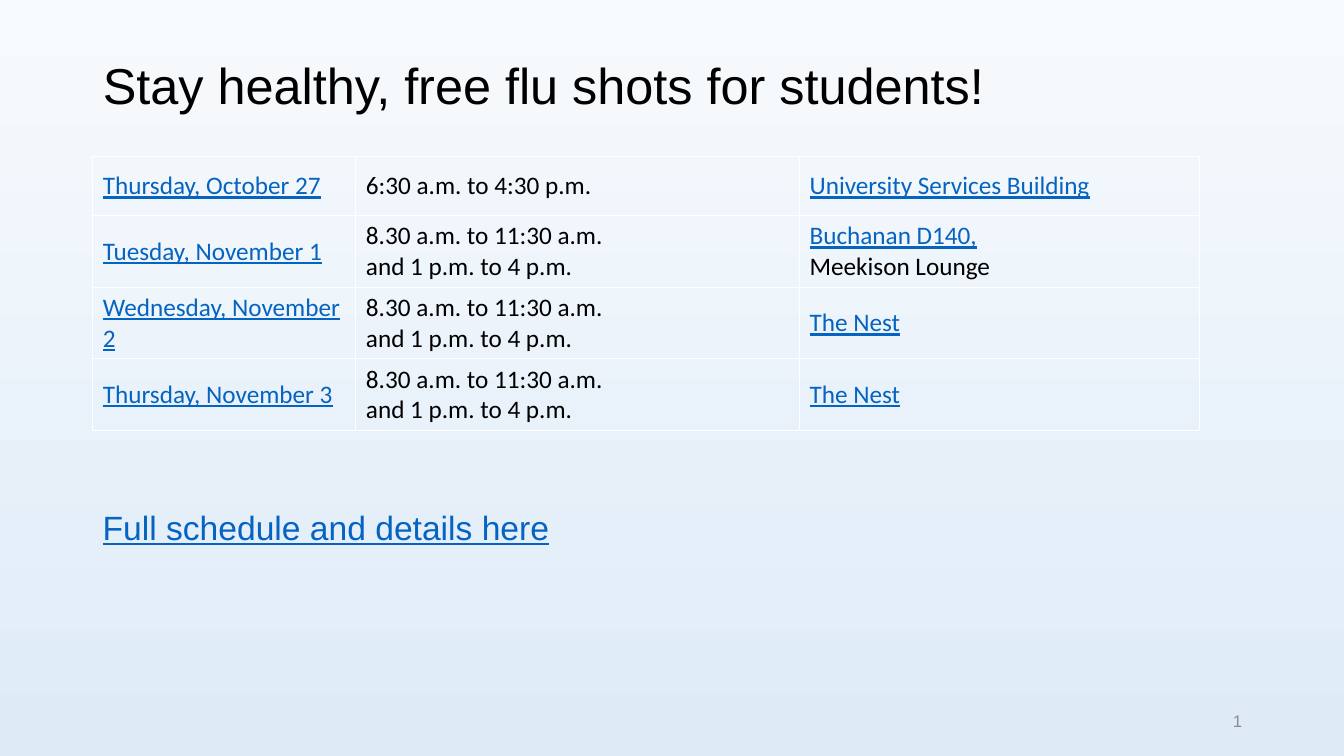
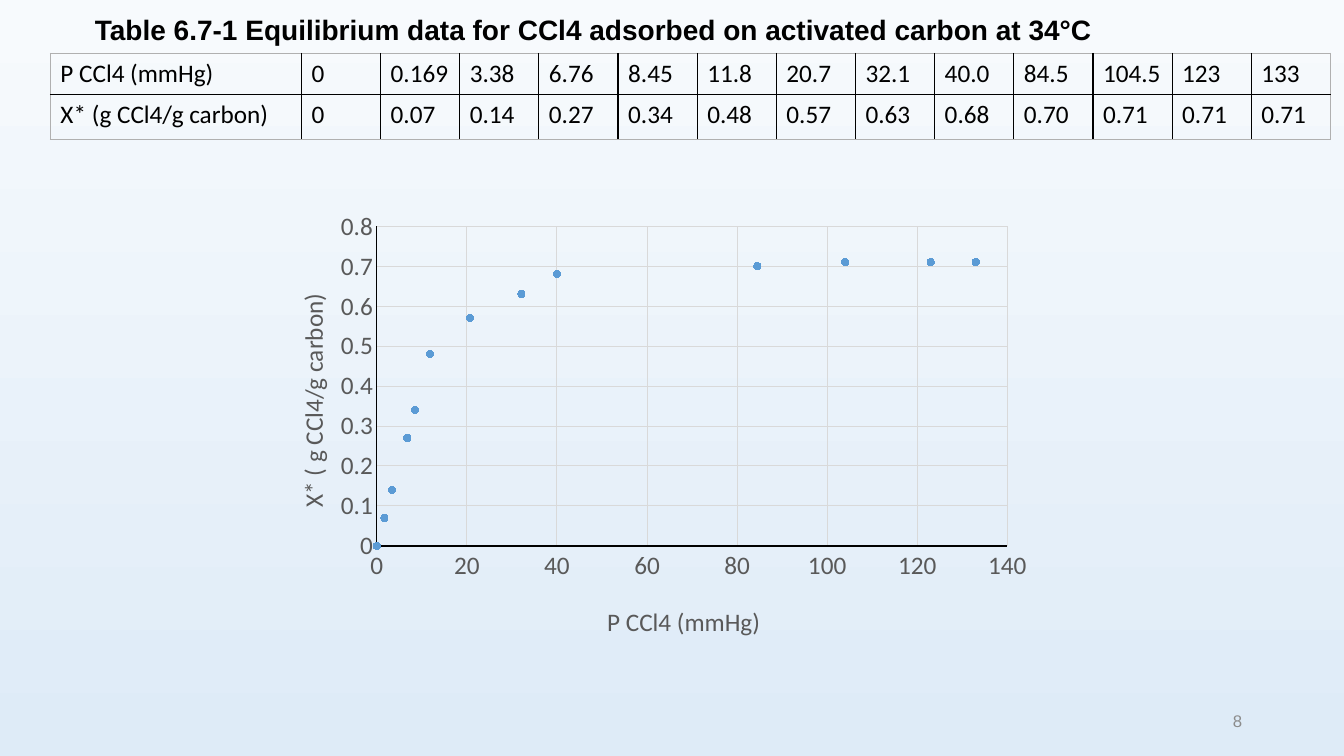
import pptx
import pptx.chart.data
import pptx.dml.color
import pptx.enum.chart
import pptx.enum.dml
import pptx.enum.text
import pptx.oxml
import pptx.oxml.ns
import pptx.util
from lxml import etree

Inches = pptx.util.Inches
Pt = pptx.util.Pt
qn = pptx.oxml.ns.qn

COLORS = {
    "top": "F7FAFD",
    "bottom": "DEEBF7",
    "text": "000000",
    "link": "0563C1",
    "page": "8C8C8C",
    "white": "FFFFFF",
    "frame": "B0B0B0",
    "axis": "595959",
    "grid": "D9D9D9",
    "marker": "5B9BD5",
}


def rgb(name):
    return pptx.dml.color.RGBColor.from_string(COLORS[name])


def set_border(cell, side, color, width):
    properties = cell._tc.get_or_add_tcPr()
    line = etree.SubElement(properties, qn(f"a:{side}"), w=str(Pt(width)))
    fill = etree.SubElement(line, qn("a:solidFill"))
    etree.SubElement(fill, qn("a:srgbClr"), val=COLORS[color])


def place_in_chart(element, index, **fractions):
    for existing in element.findall(qn("c:layout")):
        element.remove(existing)
    layout = etree.Element(qn("c:layout"))
    manual = etree.SubElement(layout, qn("c:manualLayout"))
    if "w" in fractions:
        etree.SubElement(manual, qn("c:layoutTarget"), val="inner")
    for mode in ("xMode", "yMode"):
        etree.SubElement(manual, qn(f"c:{mode}"), val="edge")
    for key, value in fractions.items():
        etree.SubElement(manual, qn(f"c:{key}"), val=str(value))
    element.insert(index, layout)


class Deck:
    heading_font = "Arial"
    data_font = "Calibri"
    data_size = 18

    def __init__(self):
        self.presentation = pptx.Presentation()
        self.presentation.slide_width = Inches(13.33)
        self.presentation.slide_height = Inches(7.5)
        backdrop = self.presentation.slide_master.background.fill
        backdrop.gradient()
        backdrop.gradient_angle = 270
        for stop, color in zip(backdrop.gradient_stops, ("top", "bottom")):
            stop.color.rgb = rgb(color)
        self.slide = None

    def style(self, font, name, size, color, bold=False, underline=False):
        font.name = name
        font.size = Pt(size)
        font.color.rgb = rgb(color)
        font.bold = bold
        font.underline = underline

    def start_slide(self, number):
        layout = self.presentation.slide_layouts[5]
        self.slide = self.presentation.slides.add_slide(layout)
        self.text(number, (9.42, 6.95, 3, 0.4), 12, "page",
                  align=pptx.enum.text.PP_ALIGN.RIGHT)

    def fill_frame(self, frame, text, size, color, align, **emphasis):
        frame.word_wrap = True
        frame.auto_size = pptx.enum.text.MSO_AUTO_SIZE.NONE
        frame.vertical_anchor = pptx.enum.text.MSO_ANCHOR.MIDDLE
        frame.text = text
        paragraph = frame.paragraphs[0]
        paragraph.alignment = align
        for run in paragraph.runs:
            self.style(run.font, self.heading_font, size, color, **emphasis)
        return paragraph

    def title(self, text, box, size, bold=False):
        heading = self.slide.shapes.title
        heading.left, heading.top, heading.width, heading.height = map(Inches, box)
        paragraph = self.fill_frame(heading.text_frame, text, size, "text",
                                    pptx.enum.text.PP_ALIGN.LEFT, bold=bold)
        paragraph.line_spacing = 0.9

    def text(self, text, box, size, color,
             align=pptx.enum.text.PP_ALIGN.LEFT, underline=False):
        frame = self.slide.shapes.add_textbox(*map(Inches, box)).text_frame
        self.fill_frame(frame, text, size, color, align, underline=underline)

    def table(self, rows, corner, widths, heights, inner, outer, anchor,
              link_columns=()):
        size = (sum(widths), sum(heights))
        grid = self.slide.shapes.add_table(
            len(rows), len(widths), *map(Inches, corner + size)).table
        grid.first_row = grid.horz_banding = False
        for column, width in zip(grid.columns, widths):
            column.width = Inches(width)
        for row, height in zip(grid.rows, heights):
            row.height = Inches(height)
        for r, row in enumerate(rows):
            for c, text in enumerate(row):
                cell = grid.cell(r, c)
                cell.vertical_anchor = anchor
                edges = {"lnL": c == 0, "lnR": c == len(widths) - 1,
                         "lnT": r == 0, "lnB": r == len(rows) - 1}
                for side, is_outer in edges.items():
                    set_border(cell, side, *(outer if is_outer else inner))
                cell.fill.background()
                cell.text_frame.text = text
                for position, run in enumerate(cell.text_frame.paragraphs[0].runs):
                    linked = c in link_columns and position == 0
                    self.style(run.font, self.data_font, self.data_size,
                               "link" if linked else "text", underline=linked)

    def axis(self, axis, title, maximum, step, title_place):
        axis.minimum_scale = 0
        axis.maximum_scale = maximum
        axis.major_unit = step
        axis.major_tick_mark = pptx.enum.chart.XL_TICK_MARK.NONE
        axis.minor_tick_mark = pptx.enum.chart.XL_TICK_MARK.NONE
        axis.has_major_gridlines = True
        for line, color in ((axis.format.line, "text"),
                            (axis.major_gridlines.format.line, "grid")):
            line.color.rgb = rgb(color)
            line.width = Pt(0.75)
        axis.tick_labels.number_format = "General"
        axis.tick_labels.number_format_is_linked = False
        self.style(axis.tick_labels.font, self.data_font, self.data_size, "axis")
        frame = axis.axis_title.text_frame
        frame.text = title
        self.style(frame.paragraphs[0].runs[0].font, self.data_font,
                   self.data_size, "axis")
        place_in_chart(axis.axis_title.element, 1, **title_place)

    def scatter(self, points, box, x_title, y_title):
        data = pptx.chart.data.XyChartData()
        isotherm = data.add_series("Series 1")
        for x, y in points:
            isotherm.add_data_point(x, y)
        chart = self.slide.shapes.add_chart(
            pptx.enum.chart.XL_CHART_TYPE.XY_SCATTER,
            *map(Inches, box), data).chart
        chart.has_title = False
        chart.has_legend = False
        self.style(chart.font, self.data_font, self.data_size, "text")
        plot = chart.plots[0]
        plot.vary_by_categories = False
        series = plot.series[0]
        series.smooth = False
        series.format.line.fill.background()
        series.marker.style = pptx.enum.chart.XL_MARKER_STYLE.CIRCLE
        series.marker.size = 5
        series.marker.format.fill.solid()
        series.marker.format.fill.fore_color.rgb = rgb("marker")
        series.marker.format.line.color.rgb = rgb("marker")
        self.axis(chart.category_axis, x_title, 140, 20, {"x": 0.44, "y": 0.88})
        self.axis(chart.value_axis, y_title, 0.8, 0.1, {"x": 0.04, "y": 0.19})
        plot_area = chart.element.find(".//" + qn("c:plotArea"))
        place_in_chart(plot_area, 0, x=0.15, y=0.05, w=0.81, h=0.71)


def flu_shots(deck):
    deck.start_slide("1")
    deck.title("Stay healthy, free flu shots for students!",
               (0.92, 0.4, 11.5, 0.95), 36)
    split_hours = "8.30 a.m. to 11:30 a.m.\vand 1 p.m. to 4 p.m."
    clinics = [
        ("Thursday, October 27", "6:30 a.m. to 4:30 p.m.",
         "University Services Building"),
        ("Tuesday, November 1", split_hours, "Buchanan D140,\vMeekison Lounge"),
        ("Wednesday, November 2", split_hours, "The Nest"),
        ("Thursday, November 3", split_hours, "The Nest"),
    ]
    border = ("white", 0.75)
    deck.table(clinics, (0.92, 1.55), (2.61, 4.4, 3.97), (0.59,) + (0.71,) * 3,
               border, border, pptx.enum.text.MSO_ANCHOR.MIDDLE,
               link_columns=(0, 2))
    deck.text("Full schedule and details here", (0.92, 4.98, 11.5, 0.5),
              24, "link", underline=True)


def adsorption(deck):
    deck.start_slide("8")
    deck.title("Table 6.7-1 Equilibrium data for CCl4 adsorbed on activated "
               "carbon at 34°C", (0.84, 0.09, 10.17, 0.44), 20, bold=True)
    pressures = ("0", "0.169", "3.38", "6.76", "8.45", "11.8", "20.7", "32.1",
                 "40.0", "84.5", "104.5", "123", "133")
    loadings = ("0", "0.07", "0.14", "0.27", "0.34", "0.48", "0.57", "0.63",
                "0.68", "0.70", "0.71", "0.71", "0.71")
    label_width = 2.49
    value_width = (12.7 - label_width) / len(pressures)
    deck.table([("P CCl4 (mmHg)",) + pressures,
                ("X* (g CCl4/g carbon)",) + loadings],
               (0.5, 0.53), (label_width,) + (value_width,) * len(pressures),
               (0.4, 0.45), ("text", 1), ("frame", 1),
               pptx.enum.text.MSO_ANCHOR.TOP)
    plotted = {"0.169": 1.69, "104.5": 104}
    points = [(plotted.get(p, float(p)), float(x))
              for p, x in zip(pressures, loadings)]
    deck.scatter(points, (2.58, 2.02, 7.72, 4.47),
                 "P CCl4 (mmHg)", "X* ( g CCl4/g carbon)")


def main():
    deck = Deck()
    flu_shots(deck)
    adsorption(deck)
    deck.presentation.save("out.pptx")


if __name__ == "__main__":
    main()
